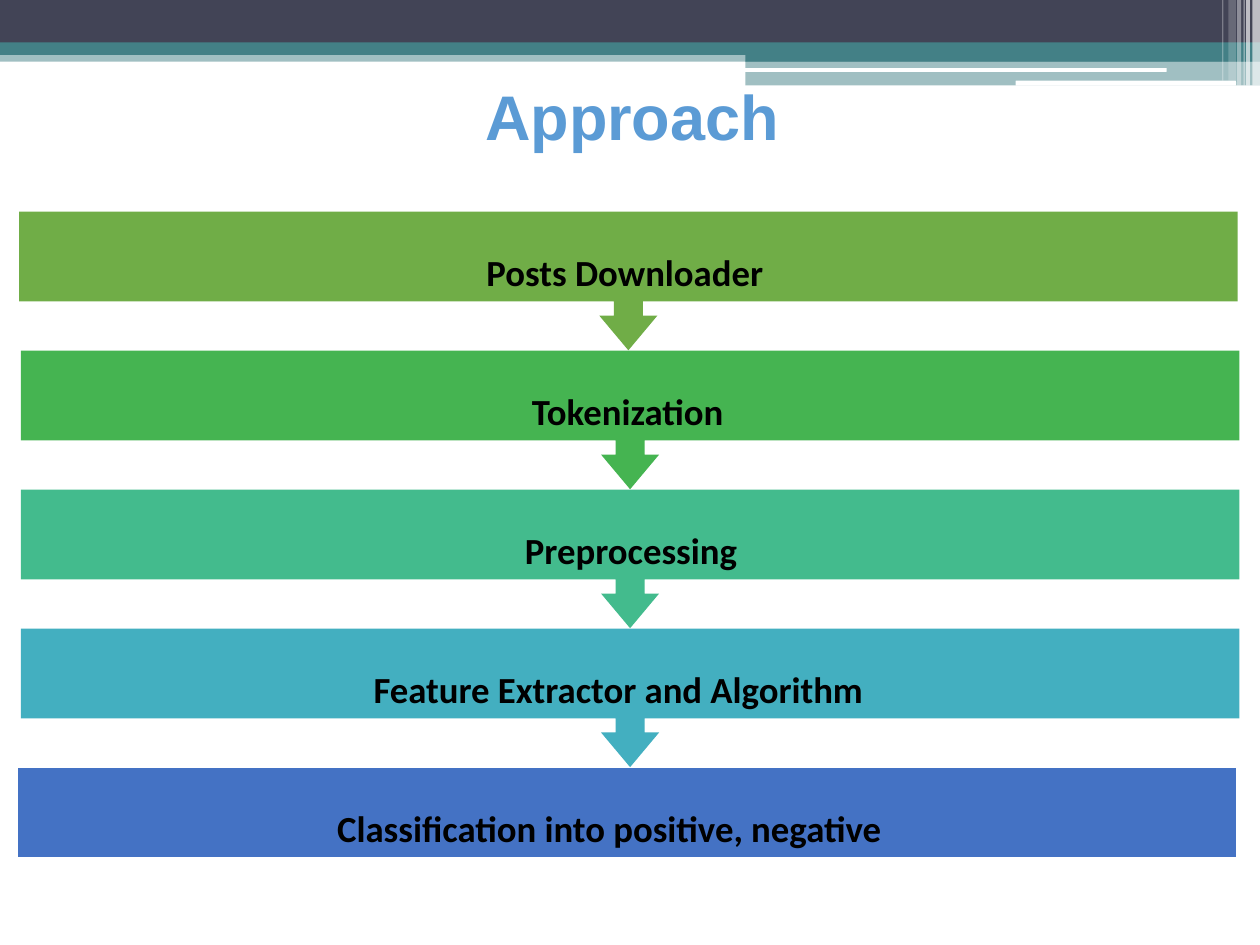
from pptx import Presentation
from pptx.dml.color import RGBColor
from pptx.enum.shapes import MSO_SHAPE
from pptx.enum.text import MSO_ANCHOR, PP_ALIGN
from pptx.oxml.ns import qn
from pptx.util import Pt
from lxml import etree

RECT, ROUND = MSO_SHAPE.RECTANGLE, MSO_SHAPE.ROUNDED_RECTANGLE
TOP, MID, LEFT = MSO_ANCHOR.TOP, MSO_ANCHOR.MIDDLE, PP_ALIGN.LEFT

# Content: label, fill, left edge of the bar, indent of the label
TITLE = "Approach"
STEPS = [
    ("Posts Downloader", "70AD47", 11, 267),
    ("Tokenization", "45B451", 12, 292),
    ("Preprocessing", "43BB8D", 12, 288),
    ("Feature Extractor and Algorithm", "43AFC0", 12, 201.5),
    ("Classification into positive, negative", "4472C4", 10.2, 182.5),
]
# Header: shape, left, top, width, height, fill, opacity in percent
BANDS = [
    (RECT, 0, 28.8, 720, 6.5, "438086", 50),
    (RECT, 0, 0, 720, 24.5, "424456", 100),
    (RECT, 0, 24.2, 720, 7.2, "438086", 100),
    (RECT, 426, 28.1, 294, 7.2, "438086", 100),
    (RECT, 426, 34.6, 294, 14.2, "438086", 50),
    (ROUND, 425.5, 38.9, 241.2, 2.2, "FFFFFF", 100),
    (ROUND, 580.3, 46.1, 126, 2.9, "FFFFFF", 100),
]
# Header stripes: left, width, height, opacity in percent
STRIPES = [
    (715.7, 4.3, 49, 65), (712.1, 2.2, 49, 65), (710.6, 0.7, 49, 60),
    (707, 2.2, 49, 40), (702, 4.3, 46.1, 20), (698.4, 0.7, 46.1, 30),
]
# Step sizes
START, PITCH = 121, 79.4
WIDE, HIGH = 696.2, 51.3
STEM, HEAD, NECK, TIP = 8.3, 16.6, 59.4, 79.2


def paint(shape, color, alpha=100):
    shape.shadow.inherit = False
    shape.line.fill.background()
    shape.fill.solid()
    shape.fill.fore_color.rgb = RGBColor.from_string(color)
    if alpha < 100:
        node = shape.fill._xPr.find(".//" + qn("a:srgbClr"))
        etree.SubElement(node, qn("a:alpha"), val=str(alpha * 1000))


def style(para, font, size, color):
    para.alignment = LEFT
    para.font.name, para.font.size, para.font.bold = font, Pt(size), True
    para.font.color.rgb = RGBColor.from_string(color)


def outline(shapes, left, top, arrow):
    mid = WIDE / 2
    points = [(0, 0), (WIDE, 0), (WIDE, HIGH)]
    if arrow:
        points += [(mid + STEM, HIGH), (mid + STEM, NECK), (mid + HEAD, NECK),
                   (mid, TIP),
                   (mid - HEAD, NECK), (mid - STEM, NECK), (mid - STEM, HIGH)]
    points.append((0, HIGH))
    spots = [(Pt(left + x), Pt(top + y)) for x, y in points]
    pen = shapes.build_freeform(*spots[0])
    pen.add_line_segments(spots[1:], close=True)
    return pen.convert_to_shape()


deck = Presentation()
deck.slide_width, deck.slide_height = Pt(720), Pt(540)
slide = deck.slides.add_slide(deck.slide_layouts[5])
shapes = slide.shapes

# Header
bars = BANDS + [(RECT, x, 0, w, h, "FFFFFF", a) for x, w, h, a in STRIPES]
for kind, x, y, w, h, color, alpha in bars:
    paint(shapes.add_shape(kind, Pt(x), Pt(y), Pt(w), Pt(h)), color, alpha)

# Title, raised towards the header by its bottom margin
title = shapes.title
title.left, title.top, title.width, title.height = map(Pt, (270, 60, 210, 54))
frame = title.text_frame
frame.text = TITLE
frame.vertical_anchor = MID
frame.margin_top, frame.margin_bottom = 0, Pt(42)
style(frame.paragraphs[0], "Arial", 36, "5B9BD5")

# Steps, each but the last with an arrow to the next
for i, (label, color, left, indent) in enumerate(STEPS):
    step = outline(shapes, left, START + i * PITCH, i < len(STEPS) - 1)
    paint(step, color)
    frame = step.text_frame
    frame.text = label
    frame.word_wrap = True
    frame.vertical_anchor = TOP
    frame.margin_left, frame.margin_top = Pt(indent), Pt(22)
    frame.margin_right = frame.margin_bottom = 0
    style(frame.paragraphs[0], "Calibri", 21, "000000")

deck.save("out.pptx")
